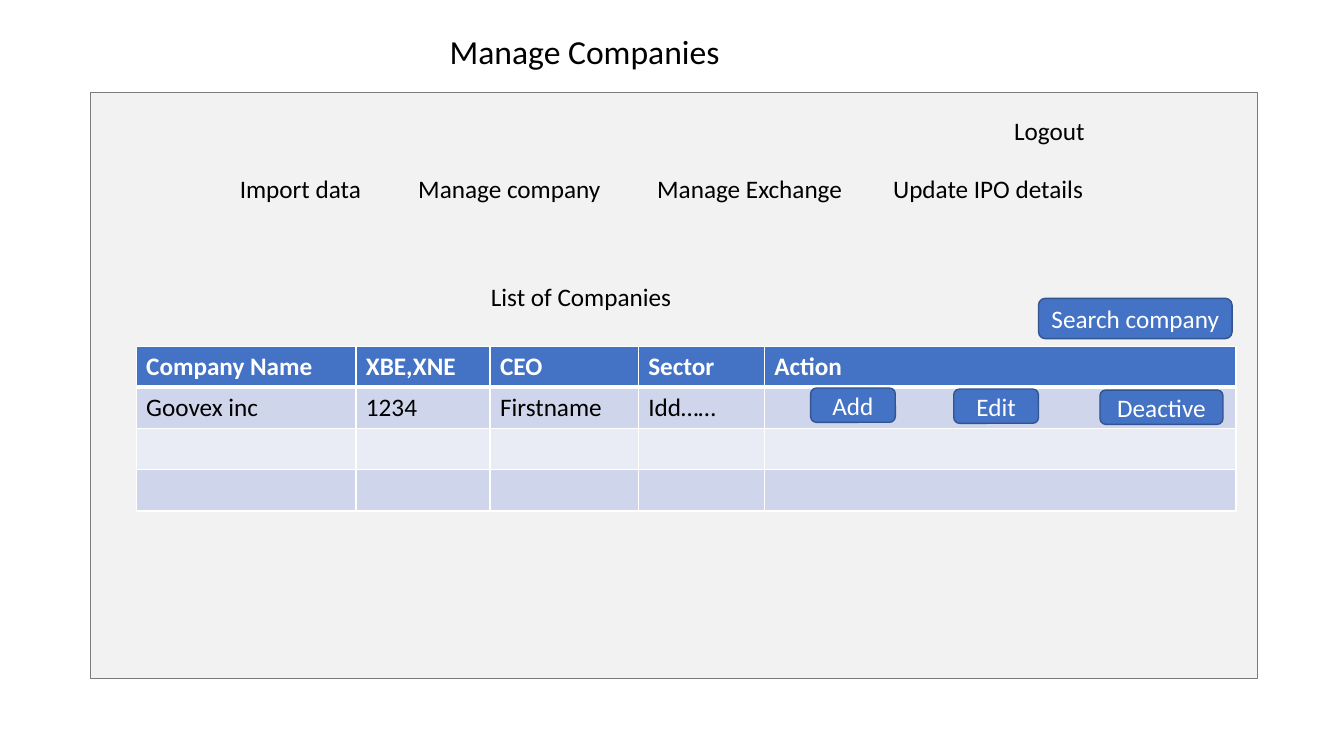
from dataclasses import dataclass

import pptx
import pptx.dml.color
import pptx.enum.shapes
import pptx.enum.text
import pptx.oxml
import pptx.oxml.ns
import pptx.util
from pptx.util import Inches


@dataclass(frozen=True)
class Theme:
    font: str = "Calibri"
    title_size: int = 24
    body_size: int = 18
    text: str = "000000"
    white: str = "FFFFFF"
    panel: str = "F2F2F2"
    panel_line: str = "7A7A7A"
    accent: str = "4472C4"
    accent_line: str = "325491"
    bands: tuple = ("CFD5EA", "E9EBF5")


THEME = Theme()
ALIGN = pptx.enum.text.PP_ALIGN
ANCHOR = pptx.enum.text.MSO_ANCHOR
SHAPE = pptx.enum.shapes.MSO_SHAPE

MENU = [
    ("Import data", 2.28, 1.6),
    ("Manage company", 4.05, 2.2),
    ("Manage Exchange", 6.42, 2.2),
    ("Update IPO details", 8.76, 2.2),
]
COLUMNS = [2.18, 1.33, 1.47, 1.25, 4.68]
ROWS = [
    ["Company Name", "XBE,XNE", "CEO", "Sector", "Action"],
    ["Goovex inc", "1234", "Firstname", "Idd……", ""],
    [""] * 5,
    [""] * 5,
]
BUTTONS = [
    ("Add", 8.04, 3.85, 0.84, 0.34),
    ("Edit", 9.46, 3.86, 0.84, 0.34),
    ("Deactive", 10.91, 3.87, 1.22, 0.34),
    ("Search company", 10.3, 2.96, 1.92, 0.4),
]


def rgb(value):
    return pptx.dml.color.RGBColor.from_string(value)


def write(frame, text, color=THEME.text, size=THEME.body_size, bold=False,
          align=ALIGN.LEFT):
    frame.text = text
    para = frame.paragraphs[0]
    para.alignment = align
    para.font.size = pptx.util.Pt(size)
    for span in para.runs:
        span.font.name = THEME.font
        span.font.size = pptx.util.Pt(size)
        span.font.bold = bold
        span.font.color.rgb = rgb(color)


def set_title(page, text, left, top, width, height):
    title = page.shapes.title
    title.left, title.top = Inches(left), Inches(top)
    title.width, title.height = Inches(width), Inches(height)
    write(title.text_frame, text, size=THEME.title_size)
    title.text_frame.vertical_anchor = ANCHOR.TOP
    title.text_frame.word_wrap = True


def add_label(page, text, left, top, width, height=0.4):
    box = page.shapes.add_textbox(Inches(left), Inches(top), Inches(width), Inches(height))
    box.text_frame.word_wrap = True
    write(box.text_frame, text)


def add_block(page, kind, left, top, width, height, fill, line):
    block = page.shapes.add_shape(
        kind, Inches(left), Inches(top), Inches(width), Inches(height))
    block.shadow.inherit = False
    block.fill.solid()
    block.fill.fore_color.rgb = rgb(fill)
    block.line.color.rgb = rgb(line)
    block.line.width = pptx.util.Pt(1)
    return block


def add_button(page, text, left, top, width, height):
    button = add_block(page, SHAPE.ROUNDED_RECTANGLE, left, top, width, height,
                       THEME.accent, THEME.accent_line)
    button.text_frame.word_wrap = True
    button.text_frame.vertical_anchor = ANCHOR.MIDDLE
    write(button.text_frame, text, THEME.white, align=ALIGN.CENTER)


def set_borders(cell, widths):
    properties = cell._tc.get_or_add_tcPr()
    for side, width in widths.items():
        properties.append(pptx.oxml.parse_xml(
            f'<a:ln{side} {pptx.oxml.ns.nsdecls("a")} w="{pptx.util.Pt(width)}">'
            f'<a:solidFill><a:srgbClr val="{THEME.white}"/></a:solidFill></a:ln{side}>'))


def add_company_table(page, left, top):
    heights = [0.4] + [0.41] * (len(ROWS) - 1)
    table = page.shapes.add_table(
        len(ROWS), len(COLUMNS), Inches(left), Inches(top),
        Inches(sum(COLUMNS)), Inches(sum(heights))).table
    for column, width in zip(table.columns, COLUMNS):
        column.width = Inches(width)
    for index, (row, height, texts) in enumerate(zip(table.rows, heights, ROWS)):
        row.height = Inches(height)
        header = index == 0
        fill = THEME.accent if header else THEME.bands[(index - 1) % 2]
        color = THEME.white if header else THEME.text
        widths = {"L": 1, "R": 1, "T": 3 if index == 1 else 1, "B": 3 if header else 1}
        for cell, text in zip(row.cells, texts):
            write(cell.text_frame, text, color, bold=header)
            set_borders(cell, widths)
            cell.fill.solid()
            cell.fill.fore_color.rgb = rgb(fill)


def main():
    deck = pptx.Presentation()
    deck.slide_width, deck.slide_height = Inches(13.33), Inches(7.5)
    page = deck.slides.add_slide(deck.slide_layouts.get_by_name("Title Only"))
    set_title(page, "Manage Companies", 4.36, 0.26, 3.01, 0.5)
    add_block(page, SHAPE.RECTANGLE, 0.9, 0.92, 11.57, 5.81,
              THEME.panel, THEME.panel_line)
    for text, left, width in MENU:
        add_label(page, text, left, 1.67, width)
    add_label(page, "Logout", 9.96, 1.09, 1.08)
    add_label(page, "List of Companies", 4.77, 2.74, 3.28)
    add_company_table(page, 1.35, 3.44)
    for button in BUTTONS:
        add_button(page, *button)
    deck.save("out.pptx")


if __name__ == "__main__":
    main()
